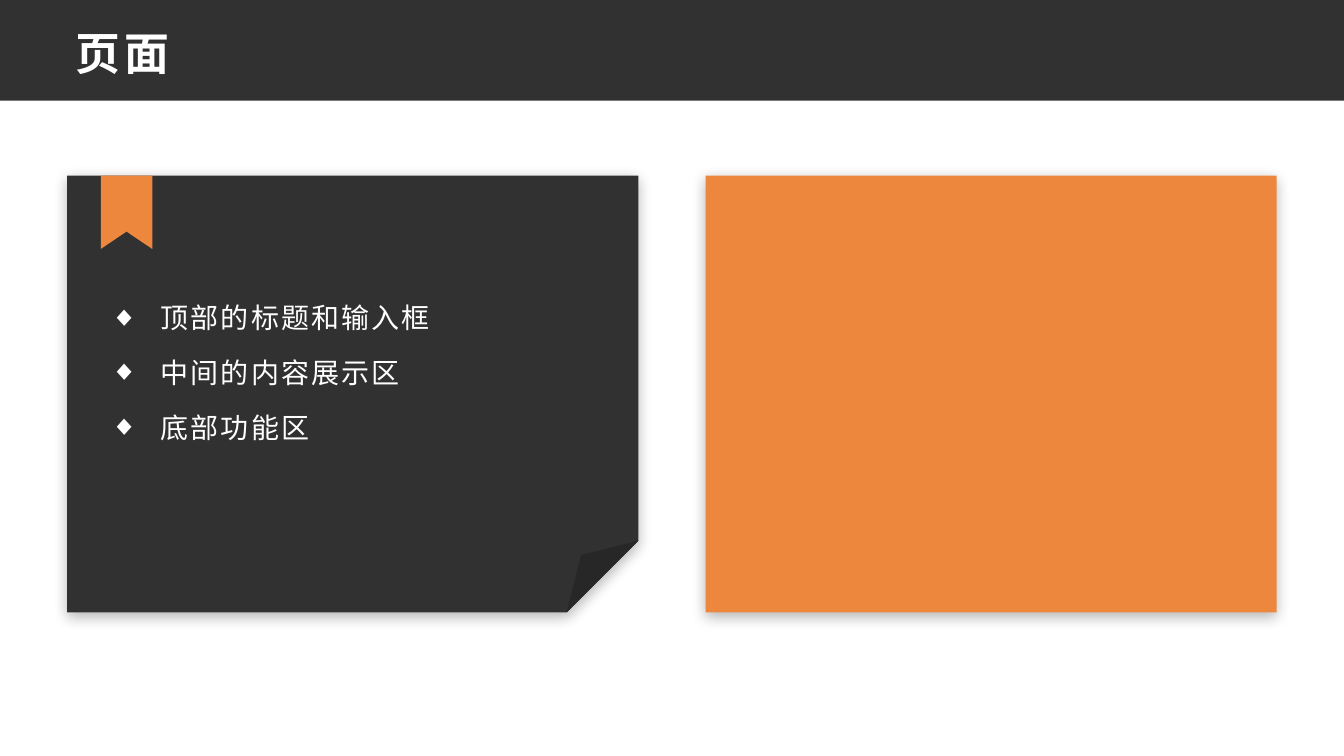
from lxml import etree
from pptx import Presentation
from pptx.dml.color import RGBColor
from pptx.enum.shapes import MSO_SHAPE
from pptx.enum.text import MSO_ANCHOR, MSO_AUTO_SIZE, PP_ALIGN
from pptx.oxml.ns import qn
from pptx.util import Pt

RECT, FOLD = MSO_SHAPE.RECTANGLE, MSO_SHAPE.FOLDED_CORNER
MIDDLE, BOTTOM = MSO_ANCHOR.MIDDLE, MSO_ANCHOR.BOTTOM
LEFT, JUSTIFY = PP_ALIGN.LEFT, PP_ALIGN.JUSTIFY
NO_FIT = MSO_AUTO_SIZE.NONE

DARK = RGBColor(0x31, 0x31, 0x31)
ORANGE = RGBColor(0xED, 0x87, 0x3D)
WHITE = RGBColor(0xFF, 0xFF, 0xFF)
SHADE = RGBColor(0x0D, 0x0D, 0x0D)

WIDTH, HEIGHT = 960, 540
MARGIN = 48
CARD_TOP, CARD_W, CARD_H = 125.4, 408, 312
POINTS = ["顶部的标题和输入框", "中间的内容展示区", "底部功能区"]


def add(parent, tag, **attrs):
    node = etree.SubElement(parent, qn(tag))
    for name, value in attrs.items():
        node.set(name, str(value))
    return node


def write(para, text, size=20, gap=1.5, bold=False, align=LEFT):
    """Put one spaced run of text in a paragraph."""
    para.alignment = align
    run = para.add_run()
    run.text = text
    font = run.font
    font.name = "Arial"
    font.size = Pt(size)
    font.bold = bold
    font.color.rgb = WHITE
    run._r.get_or_add_rPr().set("spc", str(int(gap * 100)))


class Page:
    def __init__(self, deck):
        self.slide = deck.slides.add_slide(deck.slide_layouts[5])
        self.shapes = self.slide.shapes
        self.inset = Pt(6)

    def paint(self, shape, color):
        shape.shadow.inherit = False
        shape.fill.solid()
        shape.fill.fore_color.rgb = color
        shape.line.fill.background()
        return shape

    def block(self, kind, x, y, w, h, color):
        shape = self.shapes.add_shape(kind, Pt(x), Pt(y), Pt(w), Pt(h))
        return self.paint(shape, color)

    def card(self, kind, x, color):
        shape = self.block(kind, x, CARD_TOP, CARD_W, CARD_H, color)
        glow = add(shape._element.spPr.find(qn("a:effectLst")), "a:outerShdw",
                   blurRad=Pt(10), dist=Pt(3), dir=90 * 60000,
                   algn="t", rotWithShape=0)
        tint = add(glow, "a:srgbClr", val=SHADE)
        add(tint, "a:alpha", val=30000)
        return shape

    def note(self, x, color, fold):
        shape = self.card(FOLD, x, color)
        guides = shape._element.spPr.find(qn("a:prstGeom")).find(qn("a:avLst"))
        add(guides, "a:gd", name="adj", fmla=f"val {round(fold * 100000)}")

    def ribbon(self, x, y, w, h, notch):
        path = self.shapes.build_freeform(Pt(x), Pt(y))
        path.add_line_segments([
            (Pt(x + w), Pt(y)), (Pt(x + w), Pt(y + h)),
            (Pt(x + w / 2), Pt(y + notch)), (Pt(x), Pt(y + h))])
        return self.paint(path.convert_to_shape(), ORANGE)

    def frame(self, shape, anchor, top, base):
        text = shape.text_frame
        text.word_wrap = True
        text.auto_size = NO_FIT
        text.vertical_anchor = anchor
        text.margin_left = text.margin_right = self.inset
        text.margin_top, text.margin_bottom = Pt(top), Pt(base)
        return text

    def bullets(self, items, x, y, w, h):
        box = self.shapes.add_textbox(Pt(x), Pt(y), Pt(w), Pt(h))
        # The deep base inset lifts the list above the middle
        text = self.frame(box, MIDDLE, 0, 39)
        for i, item in enumerate(items):
            para = text.paragraphs[0] if i == 0 else text.add_paragraph()
            para.line_spacing = 1.3
            para.space_after = Pt(8)
            props = para._p.get_or_add_pPr()
            props.set("marL", str(Pt(36)))
            props.set("indent", str(-Pt(36)))
            add(add(props, "a:buClr"), "a:srgbClr", val=WHITE)
            add(props, "a:buFont", typeface="Arial")
            add(props, "a:buChar", char="◆")
            write(para, item, align=JUSTIFY)

    def title(self, words, x, y, w, h):
        shape = self.shapes.title
        shape.left, shape.top = Pt(x), Pt(y)
        shape.width, shape.height = Pt(w), Pt(h)
        text = self.frame(shape, BOTTOM, 3, 3)
        write(text.paragraphs[0], words, size=32, gap=3, bold=True)
        # Bring the title in front of the band
        self.shapes._spTree.append(shape._element)


def main():
    deck = Presentation()
    deck.slide_width, deck.slide_height = Pt(WIDTH), Pt(HEIGHT)
    page = Page(deck)

    # Header band
    page.block(RECT, 0, 0, WIDTH, 72, DARK)

    # Two cards
    page.card(RECT, WIDTH - MARGIN - CARD_W, ORANGE)
    page.note(MARGIN, DARK, fold=0.164)

    # Note content
    page.ribbon(72, CARD_TOP, 36.8, 52.4, 40)
    page.bullets(POINTS, 72.7, 170.6, 359.3, 222.5)

    # Title
    page.title("页面", MARGIN, 12, WIDTH - 2 * MARGIN, 48)
    deck.save("out.pptx")


if __name__ == "__main__":
    main()
